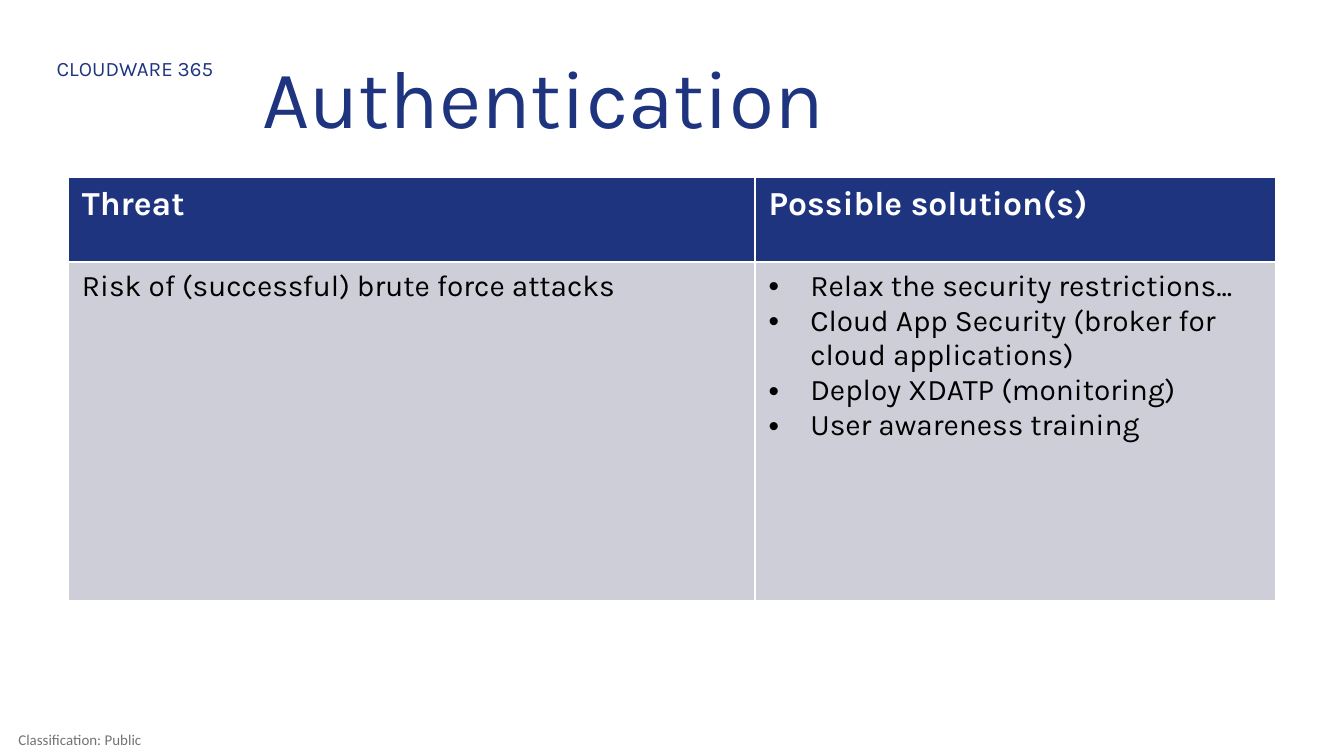
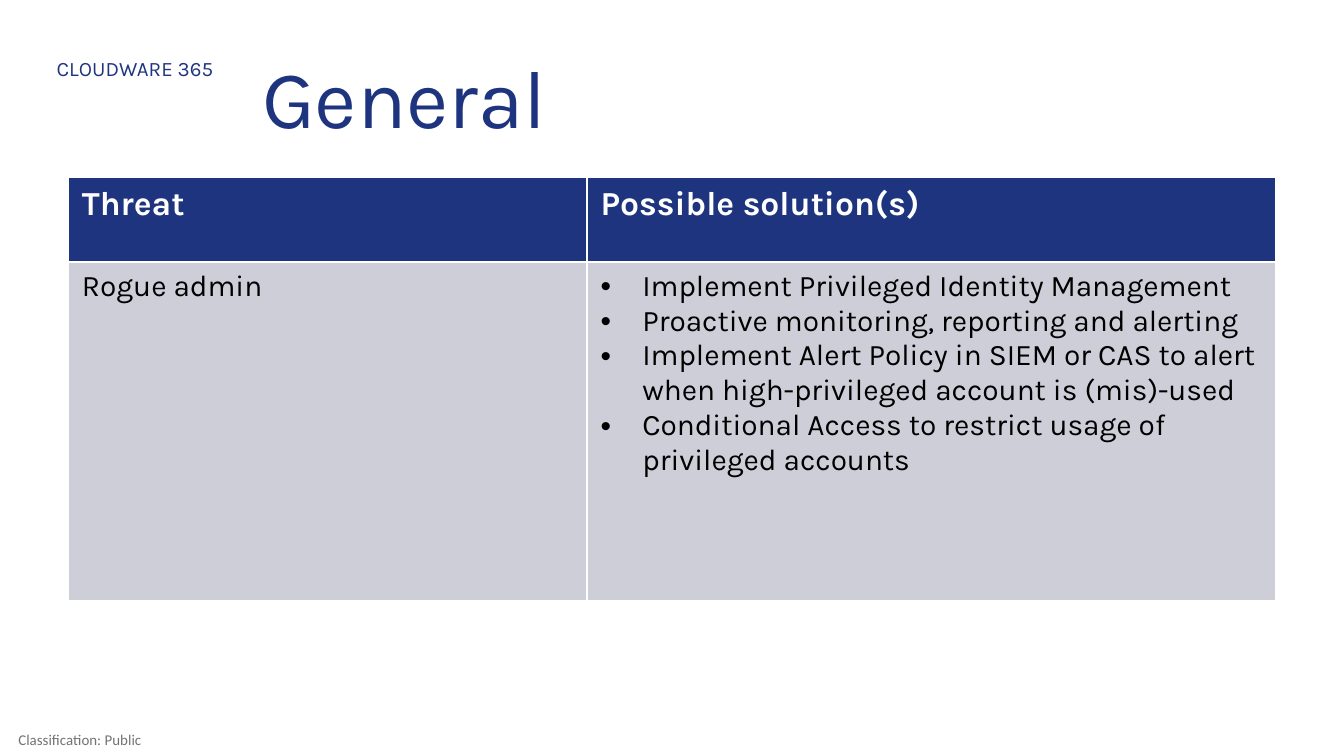
import pptx
import pptx.dml.color
import pptx.enum.text
import pptx.oxml
import pptx.oxml.ns
import pptx.util
from pptx.util import Inches

COLORS = {"navy": "1E347F", "gray": "CDCED8", "footer": "737373", "white": "FFFFFF", "black": "000000"}
ALIGN = pptx.enum.text.PP_ALIGN
ANCHOR = pptx.enum.text.MSO_ANCHOR
HEADERS = ["Threat", "Possible solution(s)"]
ROW_HEIGHTS = [0.63, 2.52]
BULLET_INDENT = 0.31

THREATS = [
    {
        "title": "Authentication",
        "threat": "Risk of (successful) brute force attacks",
        "solutions": [
            "Relax the security restrictions...",
            "Cloud App Security (broker for cloud applications)",
            "Deploy XDATP (monitoring)",
            "User awareness training",
        ],
        "columns": [5.11, 3.87],
    },
    {
        "title": "General",
        "threat": "Rogue admin",
        "solutions": [
            "Implement Privileged Identity Management",
            "Proactive monitoring, reporting and alerting",
            "Implement Alert Policy in SIEM or CAS to alert when high-privileged account is (mis)-used",
            "Conditional Access to restrict usage of privileged accounts",
        ],
        "columns": [3.86, 5.12],
    },
]


class Deck:
    def __init__(self):
        self.presentation = pptx.Presentation()
        self.presentation.slide_width = Inches(10)
        self.presentation.slide_height = Inches(10 * 9 / 16)
        self.slide = None

    def color(self, name):
        return pptx.dml.color.RGBColor.from_string(COLORS[name])

    def format_text(self, text_frame, size, color, font="Karla", bold=False, align=ALIGN.LEFT):
        for paragraph in text_frame.paragraphs:
            paragraph.alignment = align
            for run in paragraph.runs:
                run.font.name = font
                run.font.size = pptx.util.Pt(size)
                run.font.bold = bold
                run.font.color.rgb = self.color(color)

    def add_slide(self, title):
        self.slide = self.presentation.slides.add_slide(self.presentation.slide_layouts[5])
        shape = self.slide.shapes.title
        shape.left, shape.top = Inches(1.85), Inches(0.29)
        shape.width, shape.height = Inches(7.64), Inches(0.94)
        text_frame = shape.text_frame
        text_frame.text = title
        text_frame.auto_size = pptx.enum.text.MSO_AUTO_SIZE.NONE
        text_frame.vertical_anchor = ANCHOR.MIDDLE
        text_frame.paragraphs[0].line_spacing = 0.9
        self.format_text(text_frame, 44, "navy")
        self.add_product_label()
        self.add_footer()

    def add_text(self, text, left, top, width, height):
        shape = self.slide.shapes.add_textbox(Inches(left), Inches(top), Inches(width), Inches(height))
        shape.text_frame.word_wrap = True
        shape.text_frame.text = text
        return shape.text_frame

    def add_product_label(self):
        text_frame = self.add_text("CLOUDWARE 365", 0.2, 0.37, 1.61, 0.29)
        self.format_text(text_frame, 11, "navy", align=ALIGN.CENTER)

    def add_footer(self):
        text_frame = self.add_text("Classification: Public", 0, 5.38, 1.19, 0.25)
        text_frame.margin_left = text_frame.margin_right = 0
        text_frame.margin_top = text_frame.margin_bottom = 0
        text_frame.vertical_anchor = ANCHOR.MIDDLE
        self.format_text(text_frame, 8, "footer", font="Calibri", align=ALIGN.CENTER)

    def add_bullets(self, text_frame):
        namespace = pptx.oxml.ns.nsdecls("a")
        for paragraph in text_frame.paragraphs:
            properties = paragraph._p.get_or_add_pPr()
            properties.set("marL", str(Inches(BULLET_INDENT)))
            properties.set("indent", str(-Inches(BULLET_INDENT)))
            properties.append(pptx.oxml.parse_xml(f'<a:buFont {namespace} typeface="Arial"/>'))
            properties.append(pptx.oxml.parse_xml(f'<a:buChar {namespace} char="•"/>'))

    def add_threat_table(self, threat, solutions, columns):
        frame = self.slide.shapes.add_table(
            2, 2, Inches(0.51), Inches(1.32), Inches(sum(columns)), Inches(sum(ROW_HEIGHTS)))
        table = frame.table
        for column, width in zip(table.columns, columns):
            column.width = Inches(width)
        rows = [HEADERS, [threat, "\n".join(solutions)]]
        for row_index, texts in enumerate(rows):
            table.rows[row_index].height = Inches(ROW_HEIGHTS[row_index])
            header = row_index == 0
            for column_index, text in enumerate(texts):
                cell = table.cell(row_index, column_index)
                cell.text_frame.text = text
                cell.fill.solid()
                cell.fill.fore_color.rgb = self.color("navy" if header else "gray")
                if header:
                    self.format_text(cell.text_frame, 18, "white", bold=True)
                else:
                    self.format_text(cell.text_frame, 16, "black")
        self.add_bullets(table.cell(1, 1).text_frame)


def main():
    deck = Deck()
    for entry in THREATS:
        deck.add_slide(entry["title"])
        deck.add_threat_table(entry["threat"], entry["solutions"], entry["columns"])
    deck.presentation.save("out.pptx")


if __name__ == "__main__":
    main()
